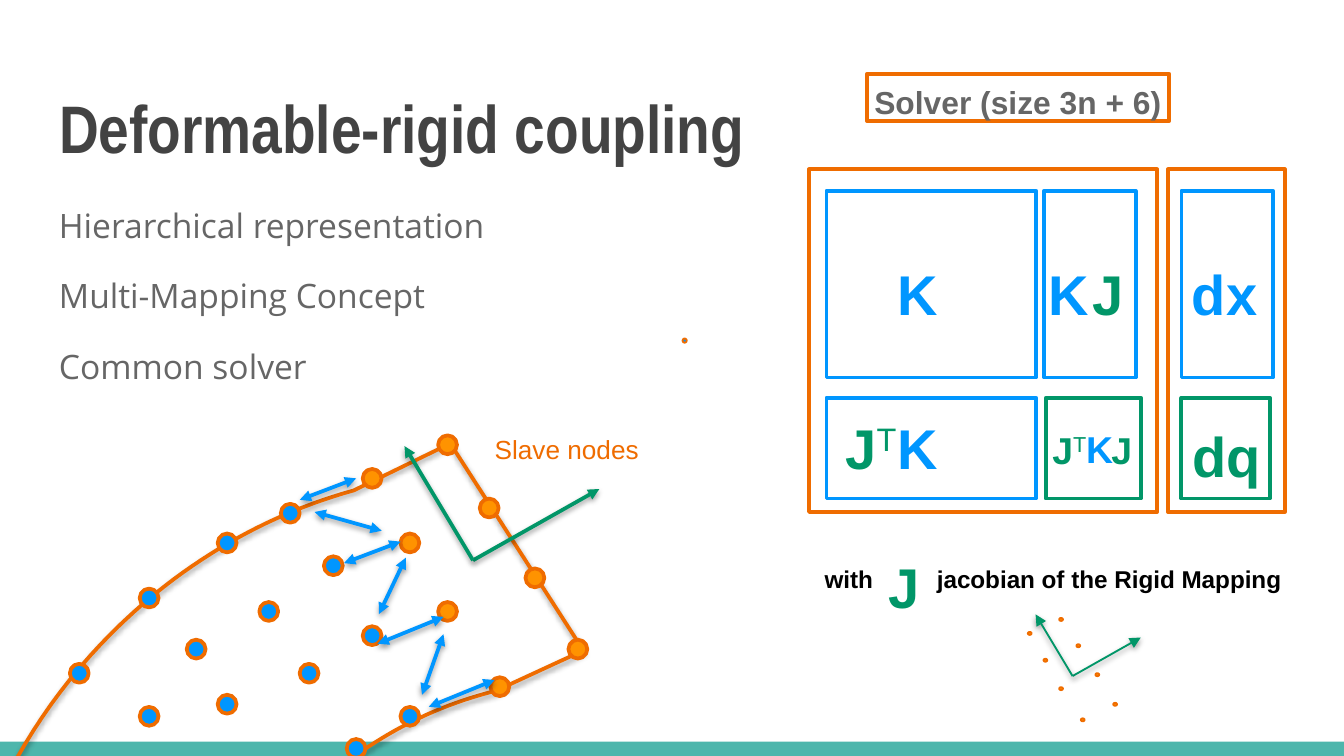
import pptx
import pptx.dml.color
import pptx.enum.dml
import pptx.enum.shapes
import pptx.enum.text
import pptx.oxml
import pptx.oxml.ns
import pptx.util
from dataclasses import dataclass

Pt = pptx.util.Pt
RGB = pptx.dml.color.RGBColor.from_string
SHAPES = pptx.enum.shapes.MSO_SHAPE
ALIGN = pptx.enum.text.PP_ALIGN
NS = pptx.oxml.ns.nsdecls("a")


@dataclass(frozen=True)
class Theme:
    band: str = "4DB6AC"
    title: str = "434343"
    body: str = "666666"
    border: str = "EF6C00"
    rigid: str = "FF9300"
    soft: str = "0096FF"
    mapping: str = "019668"
    black: str = "000000"
    white: str = "FFFFFF"
    title_size: int = 36
    matrix_size: int = 30
    product_size: int = 20
    body_size: int = 18
    solver_size: int = 17
    label_size: int = 14
    note_size: int = 13
    leading: float = 1.09


theme = Theme()
prs = pptx.Presentation()
prs.slide_width, prs.slide_height = Pt(720), Pt(405)
slide = prs.slides.add_slide(prs.slide_layouts[5])


def add_outlined(kind, left, top, width, height, fill, line, weight=2):
    shape = slide.shapes.add_shape(kind, Pt(left), Pt(top), Pt(width), Pt(height))
    shape.shadow.inherit = False
    if fill:
        shape.fill.solid()
        shape.fill.fore_color.rgb = RGB(fill)
    else:
        shape.fill.background()
    if line:
        shape.line.color.rgb = RGB(line)
        shape.line.width = Pt(weight)
    else:
        shape.line.fill.background()


def add_label(text, left, top, width, height, size, color, bold=True,
              align=ALIGN.LEFT, power=""):
    frame = slide.shapes.add_textbox(Pt(left), Pt(top), Pt(width), Pt(height)).text_frame
    frame.margin_left = frame.margin_right = frame.margin_top = frame.margin_bottom = 0
    frame.word_wrap = False
    line = frame.paragraphs[0]
    line.alignment = align
    line.line_spacing = theme.leading
    line.font.name, line.font.size, line.font.bold = "Arial", Pt(size), bold
    line.font.color.rgb = RGB(color)
    line.add_run().text = text
    if power:
        exponent = line.add_run()
        exponent.text = power
        exponent.font.bold = False
        exponent._r.get_or_add_rPr().set("baseline", "32000")


# Bottom band
add_outlined(SHAPES.RECTANGLE, 0, 397.4, 720, 7.6, theme.band, None)

# Title
title = slide.shapes.title
title.left, title.top, title.width, title.height = Pt(24.5), Pt(35.3), Pt(671), Pt(55.4)
heading = title.text_frame
heading.text = "Deformable-rigid coupling"
heading.vertical_anchor = pptx.enum.text.MSO_ANCHOR.TOP
heading.auto_size = pptx.enum.text.MSO_AUTO_SIZE.NONE
heading.margin_left = heading.margin_right = Pt(7.2)
heading.margin_top = heading.margin_bottom = Pt(7.2)
heading_line = heading.paragraphs[0]
heading_line.alignment = ALIGN.LEFT
heading_line.line_spacing = theme.leading
heading_line.font.name, heading_line.font.size = "Arial Narrow", Pt(theme.title_size)
heading_line.font.bold = True
heading_line.font.color.rgb = RGB(theme.title)

# Key points
points = slide.shapes.add_textbox(Pt(24.5), Pt(99.4), Pt(262), Pt(119.5)).text_frame
points.word_wrap = True
points.margin_left = points.margin_right = points.margin_top = points.margin_bottom = Pt(7.2)
for i, text in enumerate(["Hierarchical representation", "Multi-Mapping Concept",
                          "Common solver"]):
    point = points.paragraphs[0] if i == 0 else points.add_paragraph()
    point.text = text
    point.line_spacing = 1.15
    if i:
        point.space_before = Pt(12.8)
    point.font.name, point.font.size = "Open Sans", Pt(theme.body_size)
    point.font.color.rgb = RGB(theme.body)

# Outline of the deformable body: straight segments and cubic curves
segments = [
    [(115.2, 498.2)],
    [(128.2, 468), (147.6, 440.6), (172.8, 419)],
    [(199.4, 395.3), (231.1, 378.7), (265.7, 370.1)],
    [(312.5, 348.5)],
    [(241.2, 237.6)],
    [(189.4, 262.8)],
    [(145.4, 275), (105.8, 297.4), (72, 327.6)],
    [(21.6, 373), (-12.2, 432.7), (-24.5, 499)],
]
contour = [(-24.5, 499)]
for segment in segments:
    if len(segment) == 1:
        contour += segment
        continue
    corners = [contour[-1]] + segment
    for step in range(1, 25):
        t = step / 24
        weights = ((1 - t) ** 3, 3 * t * (1 - t) ** 2, 3 * t ** 2 * (1 - t), t ** 3)
        contour.append(tuple(sum(w * c[axis] for w, c in zip(weights, corners))
                             for axis in (0, 1)))
contour = [(Pt(x), Pt(y)) for x, y in contour]
builder = slide.shapes.build_freeform(*contour[0])
builder.add_line_segments(contour[1:], close=True)
body_outline = builder.convert_to_shape()
body_outline.fill.background()
body_outline.line.color.rgb = RGB(theme.border)
body_outline.line.width = Pt(2)
shadowed = [body_outline]

# Nodes, given by their centres
rigid_nodes = [(239.8, 238.3), (199.4, 256.3), (219.6, 290.9), (262.1, 272.2),
               (239.8, 327.6), (286.6, 309.6), (267.8, 367.9), (309.6, 347.8)]
soft_nodes = [(155.5, 275), (178.6, 303.1), (199.4, 340.6), (219.6, 383.8),
              (121.7, 290.9), (144, 327.6), (165.6, 360.7), (190.8, 401),
              (79.9, 320.4), (105.1, 347.8), (121.7, 377.3), (42.5, 360.7),
              (79.9, 383.8)]
small_nodes = [(568.4 + 0.415 * (x - 239.8), 331.9 + 0.415 * (y - 238.3))
               for x, y in rigid_nodes]
for centres, width, height, fill, weight in [
        (rigid_nodes, 10.1, 10.1, theme.rigid, 2),
        (soft_nodes, 10.1, 10.1, theme.soft, 2),
        ([(366.8, 182.5)], 2.2, 2.2, theme.soft, 1),
        (small_nodes, 2, 1.6, theme.rigid, 1)]:
    for x, y in centres:
        add_outlined(SHAPES.OVAL, x - width / 2, y - height / 2, width, height,
                     fill, theme.border, weight)

# Rigid frame axes (large and small) and node links
arrows = []
for x, y, scale, weight in [(253.4, 300.2, 1, 2), (574.6, 362.2, 0.54, 1)]:
    for dx, dy in [(67.7, -38.2), (-36.7, -61.2)]:
        arrows.append((x, y, x + scale * dx, y + scale * dy, theme.mapping, weight, ["tail"]))
for link in [(184.3, 301.7, 214.6, 290.2), (203, 329, 217.4, 298.8),
             (202.3, 344.9, 237.6, 330.5), (229.7, 378.7, 265, 364.3),
             (226.1, 372.2, 237.6, 339.8), (168.5, 274.3, 204.5, 284.4),
             (160.6, 267.8, 190.8, 256.3)]:
    arrows.append((*link, theme.soft, 2, ["head", "tail"]))
for x1, y1, x2, y2, color, weight, ends in arrows:
    arrow = slide.shapes.add_connector(pptx.enum.shapes.MSO_CONNECTOR.STRAIGHT,
                                       Pt(x1), Pt(y1), Pt(x2), Pt(y2))
    arrow.line.color.rgb = RGB(color)
    arrow.line.width = Pt(weight)
    for end in ends:
        arrow.line._get_or_add_ln().append(
            pptx.oxml.parse_xml(f'<a:{end}End {NS} type="triangle"/>'))
    shadowed.append(arrow)

# Soft shadow under the outline and the arrows
for item in shadowed:
    item._element.spPr.append(pptx.oxml.parse_xml(
        f'<a:effectLst {NS}><a:outerShdw blurRad="{Pt(3)}" dist="{Pt(1.6)}" dir="5400000" '
        'rotWithShape="0"><a:srgbClr val="000000"><a:alpha val="38000"/></a:srgbClr>'
        '</a:outerShdw></a:effectLst>'))

# Solver system: frames and blocks
for left, top, width, height, fill, line in [
        (464.4, 39.6, 162, 25.2, None, theme.border),
        (433.4, 90.7, 186.5, 183.6, theme.white, theme.border),
        (625.7, 90.7, 62.6, 183.6, theme.white, theme.border),
        (442.8, 102.2, 112.3, 100.1, theme.white, theme.soft),
        (442.8, 213.1, 112.3, 54, theme.white, theme.soft),
        (559.4, 102.2, 49, 100.1, theme.white, theme.soft),
        (560.2, 213.1, 51.1, 54, None, theme.mapping),
        (632.9, 102.2, 49, 100.1, None, theme.soft),
        (632.9, 213.1, 47.5, 54, None, theme.mapping)]:
    add_outlined(SHAPES.RECTANGLE, left, top, width, height, fill, line)

# Matrix symbols
for text, power, left, top, width, size, color in [
        ("K", "", 481, 136.1, 22.3, theme.matrix_size, theme.soft),
        ("K", "", 481, 218.2, 22.3, theme.matrix_size, theme.soft),
        ("J", "T", 452.9, 218.2, 30.2, theme.matrix_size, theme.mapping),
        ("K", "", 561.6, 136.1, 22.3, theme.matrix_size, theme.soft),
        ("J", "", 585.4, 136.1, 18, theme.matrix_size, theme.mapping),
        ("dx", "", 638.6, 136.1, 36, theme.matrix_size, theme.soft),
        ("dq", "", 638.6, 222.5, 37.4, theme.matrix_size, theme.mapping),
        ("J", "T", 563.8, 226.8, 20.2, theme.product_size, theme.mapping),
        ("K", "", 581.8, 226.1, 15.1, theme.product_size, theme.soft),
        ("J", "", 595.4, 226.8, 12.2, theme.product_size, theme.mapping),
        ("J", "", 475.9, 293, 18, theme.matrix_size, theme.mapping)]:
    add_label(text, left, top, width, size * 1.1, size, color, power=power)

# Captions
add_label("Slave nodes", 265, 230.4, 77.8, 15.8, theme.label_size, theme.border, bold=False)
add_label("Solver (size 3n + 6)", 465.8, 42.5, 159.1, 40.3, theme.solver_size, theme.body,
          align=ALIGN.CENTER)
add_label("with", 441.4, 301, 26.6, 15.8, theme.note_size, theme.black, align=ALIGN.CENTER)
add_label("jacobian of the Rigid Mapping", 501.1, 301, 185.8, 15.8, theme.note_size,
          theme.black, align=ALIGN.CENTER)

prs.save("out.pptx")
